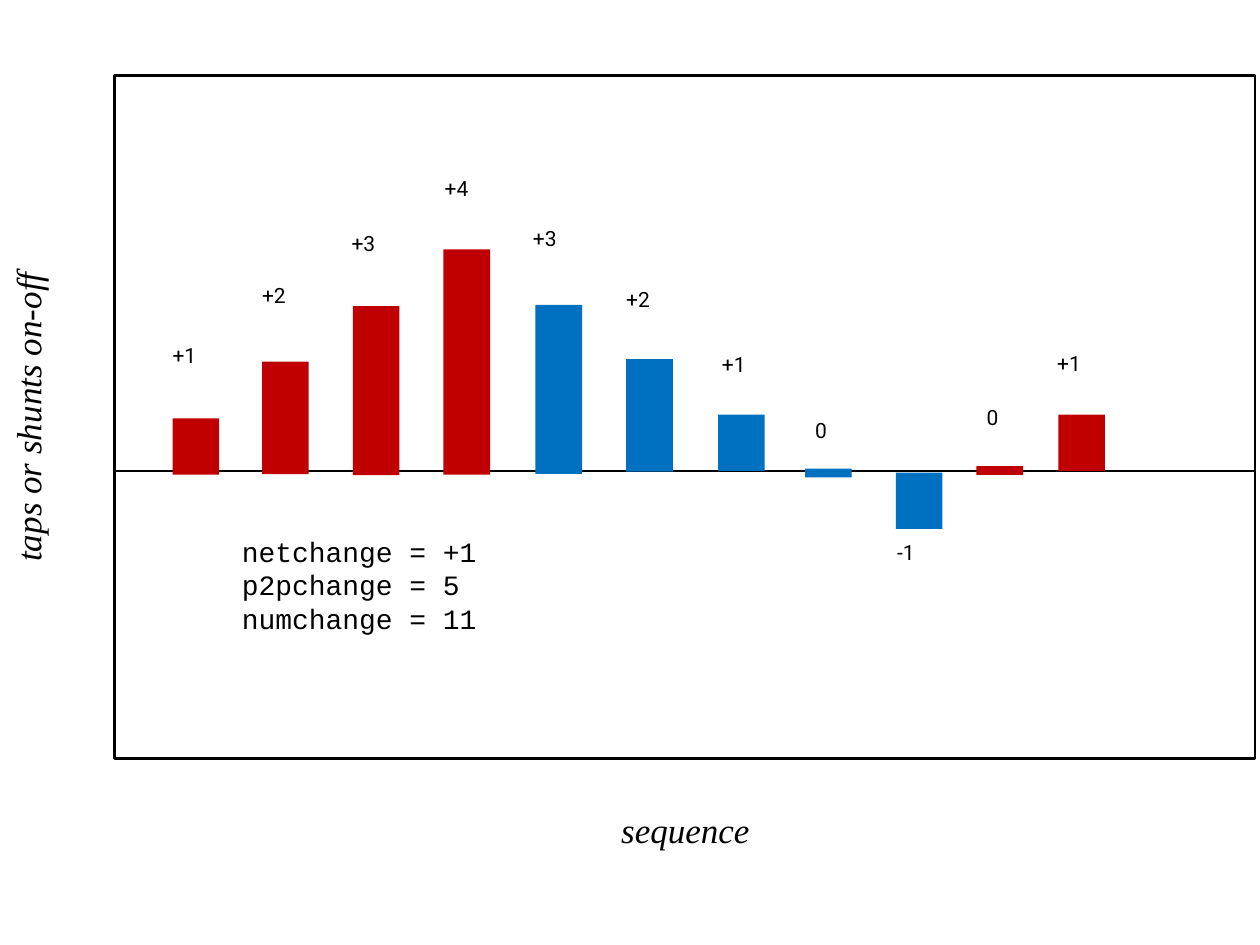
from lxml import etree
from pptx import Presentation
from pptx.dml.color import RGBColor
from pptx.enum.shapes import MSO_CONNECTOR, MSO_SHAPE
from pptx.enum.text import MSO_ANCHOR, PP_ALIGN
from pptx.oxml.ns import qn
from pptx.util import Inches, Pt

COLORS = {"ink": "000000", "up": "C00000", "down": "0070C0"}
STEP_HEIGHT = 0.447
ZERO_HEIGHT = 0.07
BAR_WIDTH = 0.37


class StepDiagram:
    def __init__(self, slide):
        self.shapes = slide.shapes

    def color(self, name):
        return RGBColor.from_string(COLORS[name])

    def box(self, left, top, width, height, fill=None, line=None):
        box = self.shapes.add_shape(
            MSO_SHAPE.RECTANGLE, *map(Inches, (left, top, width, height)))
        box.shadow.inherit = False
        if fill:
            box.fill.solid()
            box.fill.fore_color.rgb = self.color(fill)
        else:
            box.fill.background()
        if line:
            box.line.color.rgb = self.color("ink")
            box.line.width = Pt(line)
        else:
            box.line.fill.background()

    def line(self, x1, y1, x2, y2, width):
        line = self.shapes.add_connector(
            MSO_CONNECTOR.STRAIGHT, *map(Inches, (x1, y1, x2, y2)))
        line.line.color.rgb = self.color("ink")
        line.line.width = Pt(width)
        etree.SubElement(line._element.spPr, qn("a:effectLst"))

    def text(self, lines, left, top, width, height, font, size, italic=False,
             align=PP_ALIGN.LEFT, anchor=MSO_ANCHOR.TOP, rotation=0):
        box = self.shapes.add_textbox(*map(Inches, (left, top, width, height)))
        box.rotation = rotation
        frame = box.text_frame
        frame.word_wrap = True
        frame.vertical_anchor = anchor
        frame.margin_left = frame.margin_right = 0
        frame.margin_top = frame.margin_bottom = 0
        frame.text = "\n".join(lines)
        for paragraph in frame.paragraphs:
            paragraph.alignment = align
            for run in paragraph.runs:
                run.font.name = font
                run.font.size = Pt(size)
                run.font.italic = italic
                run.font.color.rgb = self.color("ink")

    def axis_title(self, title, left, top, width, **style):
        self.text([title], left, top, width, 0.64, "Times New Roman", 20,
                  italic=True, align=PP_ALIGN.CENTER, **style)

    def step(self, value, direction, left, top, label_left, label_top):
        height = abs(value) * STEP_HEIGHT or ZERO_HEIGHT
        self.box(left, top, BAR_WIDTH, height, fill=direction)
        label = f"{value:+d}" if value else "0"
        self.text([label], label_left, label_top, 0.36, 0.38, "Roboto", 12)


presentation = Presentation()
presentation.slide_width = Inches(10)
presentation.slide_height = Inches(7.5)
diagram = StepDiagram(presentation.slides.add_slide(presentation.slide_layouts[6]))

diagram.box(0.91, 0.6, 9.05, 5.42, line=1.5)
diagram.axis_title("taps or shunts on-off", -1.94, 2.99, 4.62, rotation=270)
diagram.axis_title("sequence", 4.34, 6.26, 2.2, anchor=MSO_ANCHOR.MIDDLE)
diagram.line(0.91, 3.74, 9.96, 3.74, 1)

steps = [
    (1, "up", 1.37, 3.32, 1.37, 2.72),
    (2, "up", 2.08, 2.87, 2.08, 2.24),
    (3, "up", 2.8, 2.43, 2.79, 1.83),
    (4, "up", 3.52, 1.98, 3.53, 1.39),
    (3, "down", 4.25, 2.42, 4.23, 1.79),
    (2, "down", 4.97, 2.85, 4.97, 2.27),
    (1, "down", 5.7, 3.29, 5.73, 2.79),
    (0, "down", 6.39, 3.72, 6.47, 3.31),
    (-1, "down", 7.11, 3.75, 7.12, 4.28),
    (0, "up", 7.75, 3.7, 7.83, 3.21),
    (1, "up", 8.4, 3.29, 8.39, 2.78),
]
for step in steps:
    diagram.step(*step)

summary = ["netchange = +1", "p2pchange = 5", "numchange = 11"]
diagram.text(summary, 1.92, 4.24, 3.57, 1.53, "Courier New", 16)

presentation.save("out.pptx")
